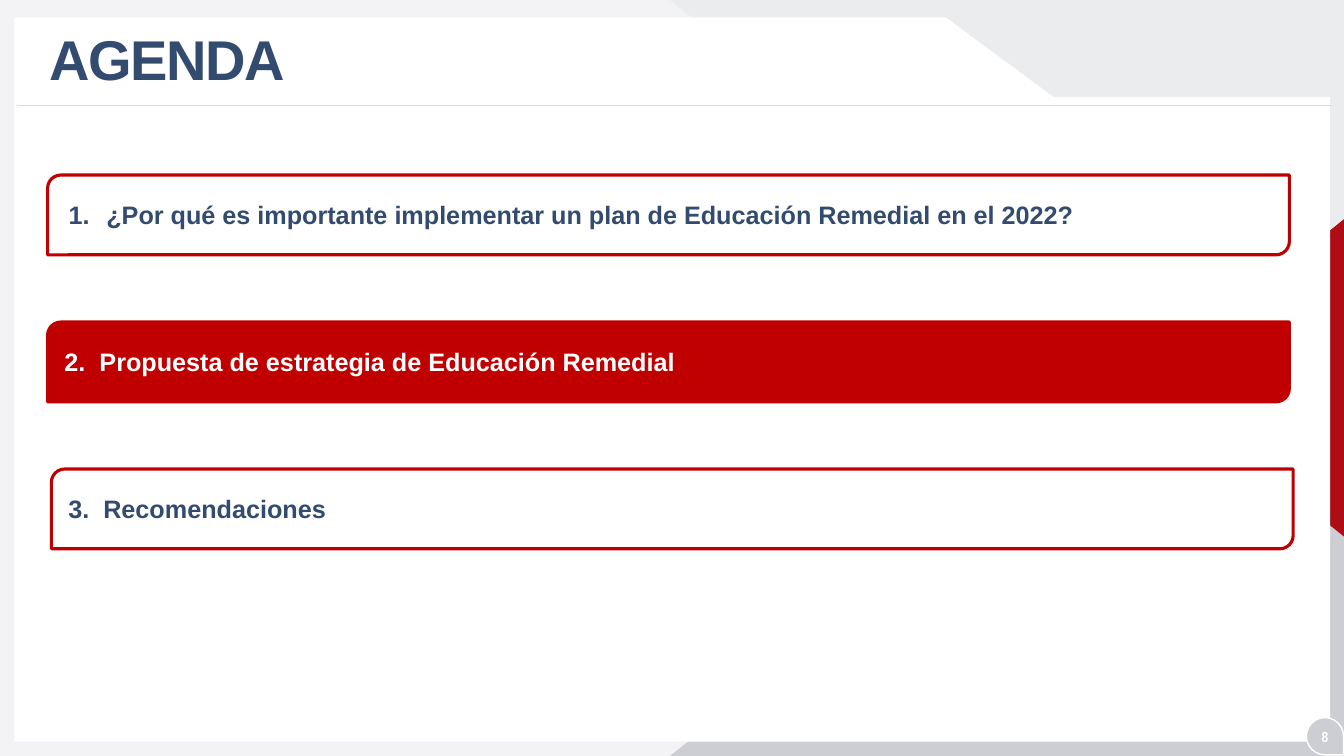
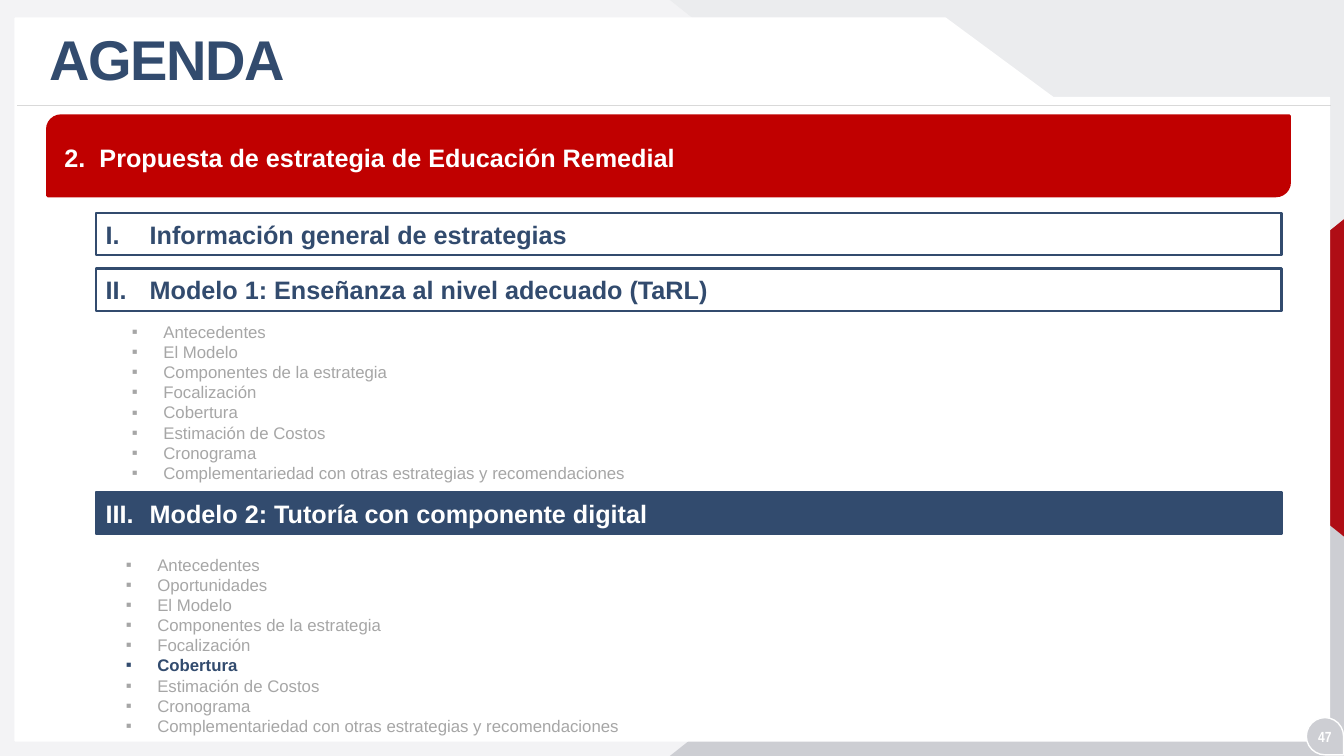
from dataclasses import dataclass

from lxml.etree import SubElement
from pptx import Presentation
from pptx.dml.color import RGBColor
from pptx.enum.shapes import MSO_CONNECTOR, MSO_SHAPE
from pptx.enum.text import MSO_ANCHOR, PP_ALIGN
from pptx.oxml.ns import qn
from pptx.util import Pt


@dataclass(frozen=True)
class Theme:
    navy: str = "324B6E"
    red: str = "C00000"
    crimson: str = "AF0D15"
    white: str = "FFFFFF"
    mist: str = "F3F3F5"
    pale: str = "EBECEE"
    silver: str = "CDCED3"
    rule: str = "D9D9D9"
    muted: str = "A6A6A6"
    font: str = "Arial"
    number_font: str = "Arial Narrow"
    title: float = 40
    heading: float = 18
    detail: float = 12
    page: float = 10.5


theme = Theme()


def paint(shape, fill=None, line=None, width=1):
    shape.shadow.inherit = False
    if fill:
        shape.fill.solid()
        shape.fill.fore_color.rgb = RGBColor.from_string(fill)
    else:
        shape.fill.background()
    if line:
        shape.line.color.rgb = RGBColor.from_string(line)
        shape.line.width = Pt(width)
    else:
        shape.line.fill.background()
    return shape


def write(shape, text, size=theme.heading, color=theme.navy, bold=True, font=theme.font,
          align=PP_ALIGN.LEFT, anchor=MSO_ANCHOR.MIDDLE, left=7.2, top=3.6, bottom=3.6,
          spacing=None, tracking=None, indent=0, bullet=None, numbering=None, start=1,
          highlight=None):
    frame = shape.text_frame
    frame.word_wrap = True
    frame.vertical_anchor = anchor
    frame.margin_left, frame.margin_top, frame.margin_bottom = Pt(left), Pt(top), Pt(bottom)
    for index, entry in enumerate(text.split("\n")):
        paragraph = frame.add_paragraph() if index else frame.paragraphs[0]
        paragraph.alignment = align
        if spacing:
            paragraph.line_spacing = spacing
        properties = paragraph._p.get_or_add_pPr()
        if indent:
            properties.set("marL", str(Pt(indent)))
            properties.set("indent", str(-Pt(indent)))
        if bullet:
            SubElement(properties, qn("a:buFont"), typeface=font)
            SubElement(properties, qn("a:buChar"), char=bullet)
        if numbering:
            SubElement(properties, qn("a:buFont"), typeface=font)
            SubElement(properties, qn("a:buAutoNum"), type=numbering, startAt=str(start))
        run = paragraph.add_run()
        run.text = entry
        run.font.name = font
        run.font.size = Pt(size)
        run.font.bold = bold or entry == highlight
        run.font.color.rgb = RGBColor.from_string(theme.navy if entry == highlight else color)
        if tracking:
            run._r.get_or_add_rPr().set("spc", str(tracking))


deck = Presentation()
deck.slide_width, deck.slide_height = Pt(960), Pt(540)

backdrop = [
    (MSO_SHAPE.RECTANGLE, (0, 0, 960, 540), 0, None, theme.mist),
    (MSO_SHAPE.ISOSCELES_TRIANGLE, (478.5, 0, 481.5, 382.3), 180, 0, theme.pale),
    (MSO_SHAPE.ISOSCELES_TRIANGLE, (478.5, 157.7, 481.5, 382.3), 0, 1, theme.silver),
    (MSO_SHAPE.ISOSCELES_TRIANGLE, (776.2, 199.4, 226.8, 141), 270, 0.5, theme.crimson),
]
panel_outline = [(675.4, 13), (752.4, 69.8), (949.7, 69.8), (949.7, 529.2), (10.8, 529.2)]

slides = []
for page in ("8", "47"):
    slide = deck.slides.add_slide(deck.slide_layouts[6])
    slides.append(slide)
    for kind, box, rotation, apex, fill in backdrop:
        facet = paint(slide.shapes.add_shape(kind, *map(Pt, box)), fill)
        facet.rotation = rotation
        if apex is not None:
            facet.adjustments[0] = apex
    outline = slide.shapes.build_freeform(Pt(10.8), Pt(13))
    outline.add_line_segments([(Pt(x), Pt(y)) for x, y in panel_outline], close=True)
    paint(outline.convert_to_shape(), theme.white, theme.white)

    title_rule = slide.shapes.add_connector(
        MSO_CONNECTOR.STRAIGHT, Pt(950.4), Pt(75), Pt(12.2), Pt(75))
    title_rule.line.color.rgb = RGBColor.from_string(theme.rule)
    title_rule.line.width = Pt(0.5)
    SubElement(title_rule._element.spPr, qn("a:effectLst"))

    badge = slide.shapes.add_shape(MSO_SHAPE.TEAR, Pt(933.1), Pt(512.6), Pt(26.6), Pt(26.6))
    paint(badge, theme.silver, theme.white).rotation = 90
    page_number = slide.shapes.add_textbox(Pt(929.5), Pt(516.2), Pt(33.8), Pt(20.2))
    write(page_number, page, size=theme.page, color=theme.white, font=theme.number_font,
          align=PP_ALIGN.CENTER)
    title = slide.shapes.add_textbox(Pt(28), Pt(15.8), Pt(695.5), Pt(57))
    write(title, "AGENDA", size=theme.title, spacing=0.9, tracking=-100)

overview, detail = slides
strategy = "Propuesta de estrategia de Educación Remedial"
chapters = [
    (overview, 34, 125, 1, 12.2, 27, False,
     "¿Por qué es importante implementar un plan de Educación Remedial en el 2022?"),
    (overview, 34, 230, 2, 9.3, 25, True, strategy),
    (overview, 36.7, 335, 3, 9.3, 25, False, "Recomendaciones"),
    (detail, 34, 82.8, 2, 9.3, 25, True, strategy),
]
for slide, x, y, number, inset, indent, active, heading in chapters:
    chapter = slide.shapes.add_shape(
        MSO_SHAPE.ROUND_2_DIAG_RECTANGLE, Pt(x), Pt(y), Pt(887), Pt(57))
    paint(chapter, theme.red if active else None, theme.red, 2.25)
    write(chapter, heading, color=theme.white if active else theme.navy, left=inset,
          top=6 if slide is detail else 3.6, indent=indent,
          numbering="arabicPeriod", start=number)

models = [
    (152, False, "Información general de estrategias"),
    (191.8, False, "Modelo 1: Enseñanza al nivel adecuado (TaRL)"),
    (351.5, True, "Modelo 2: Tutoría con componente digital"),
]
for number, (y, active, heading) in enumerate(models, 1):
    model = detail.shapes.add_shape(MSO_SHAPE.RECTANGLE, Pt(68.4), Pt(y), Pt(847), Pt(30.2))
    paint(model, theme.navy if active else None, theme.navy, 1.5)
    write(model, heading, color=theme.white if active else theme.navy, indent=31.5,
          numbering="romanUcPeriod", start=number)

shared_topics = ("Componentes de la estrategia\nFocalización\nCobertura\nEstimación de Costos\n"
                 "Cronograma\nComplementariedad con otras estrategias y recomendaciones")
topic_lists = [
    (87.1, 226.1, 123.8, "Antecedentes\nEl Modelo\n", None),
    (82.8, 392.4, 138.2, "Antecedentes\nOportunidades\nEl Modelo\n", "Cobertura"),
]
for x, y, height, opening, current in topic_lists:
    topics = detail.shapes.add_textbox(Pt(x), Pt(y), Pt(809), Pt(height))
    write(topics, opening + shared_topics, size=theme.detail, color=theme.muted, bold=False,
          anchor=MSO_ANCHOR.TOP, spacing=Pt(14.4), indent=22.5, bullet="▪", highlight=current)

deck.save("out.pptx")
